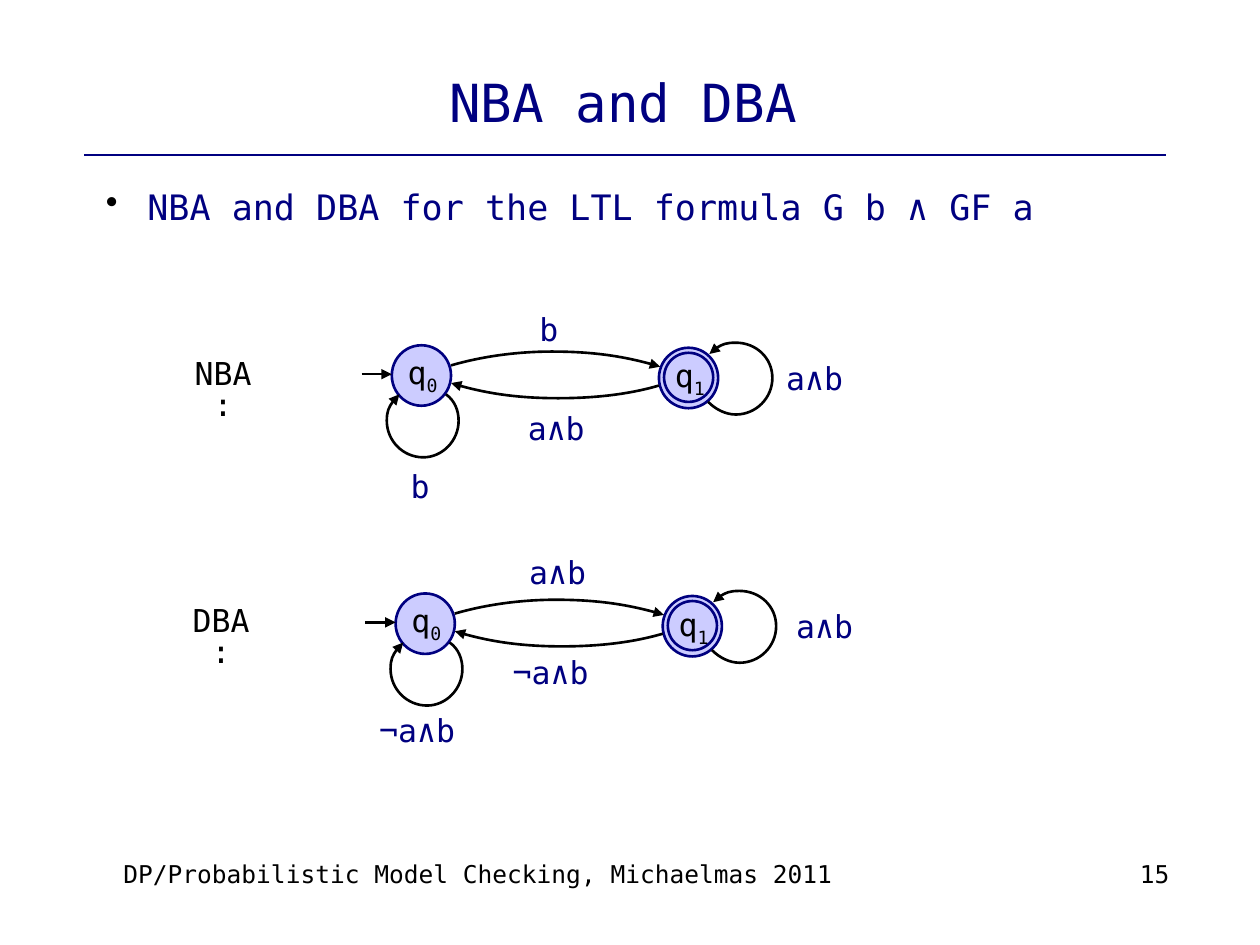
from dataclasses import dataclass

import pptx
import pptx.dml.color
import pptx.enum.shapes
import pptx.enum.text
import pptx.oxml
import pptx.oxml.ns
import pptx.util

Inches = pptx.util.Inches
Pt = pptx.util.Pt
ALIGN = pptx.enum.text.PP_ALIGN
qn = pptx.oxml.ns.qn

FONT = "DejaVu Sans Mono"
COLORS = {"navy": "000080", "black": "000000", "state": "CCCCFF"}

START_LOOP = [(3.54, 3.13), (3.61, 3.18), (3.64, 3.26), (3.64, 3.34),
              (3.64, 3.5), (3.51, 3.63), (3.36, 3.63),
              (3.2, 3.63), (3.07, 3.5), (3.07, 3.34),
              (3.07, 3.26), (3.11, 3.18), (3.17, 3.13)]
ACCEPT_LOOP = [(5.62, 3.19), (5.68, 3.25), (5.76, 3.29), (5.84, 3.29),
               (6, 3.29), (6.13, 3.16), (6.13, 3),
               (6.13, 2.84), (6, 2.72), (5.84, 2.72),
               (5.76, 2.72), (5.68, 2.75), (5.63, 2.81)]
BACKWARD = [(5.23, 3.06), (4.99, 3.13), (4.72, 3.16), (4.43, 3.16),
            (4.13, 3.16), (3.83, 3.12), (3.58, 3.04)]
FORWARD = [(3.58, 2.9), (3.82, 2.83), (4.1, 2.79), (4.38, 2.79),
           (4.69, 2.79), (4.98, 2.83), (5.24, 2.91)]


@dataclass
class Label:
    text: str
    x: float
    y: float
    w: float
    h: float = 0.4


@dataclass
class Automaton:
    name: Label
    dx: float
    dy: float
    labels: list[Label]


AUTOMATA = [
    Automaton(Label("NBA:", 1.38, 2.81, 0.78, 0.35), 0, 0, [
        Label("a∧b", 4.08, 3.2, 0.67),
        Label("b", 4.18, 2.41, 0.35),
        Label("a∧b", 6.13, 2.8, 0.67),
        Label("b", 3.16, 3.66, 0.35),
    ]),
    Automaton(Label("DBA:", 1.37, 4.77, 0.77, 0.35), 0.03, 1.97, [
        Label("¬a∧b", 3.96, 5.13, 0.82),
        Label("a∧b", 4.09, 4.34, 0.67, 0.7),
        Label("a∧b", 6.21, 4.77, 0.67, 0.7),
        Label("¬a∧b", 2.9, 5.59, 0.82),
    ]),
]


def rgb(name: str) -> pptx.dml.color.RGBColor:
    return pptx.dml.color.RGBColor.from_string(COLORS[name])


def add_text(shapes, text: str, x: float, y: float, w: float, h: float, *,
             size=18, color="navy", align=ALIGN.CENTER, inset=(0.1, 0.05),
             wrap=True, middle=False, spacing=None, sub="", bullet=False):
    tf = shapes.add_textbox(Inches(x), Inches(y), Inches(w), Inches(h)).text_frame
    tf.word_wrap = wrap
    tf.margin_left = tf.margin_right = Inches(inset[0])
    tf.margin_top = tf.margin_bottom = Inches(inset[1])
    if middle:
        tf.vertical_anchor = pptx.enum.text.MSO_ANCHOR.MIDDLE
    p = tf.paragraphs[0]
    p.alignment = align
    if spacing:
        p.line_spacing = spacing
    if bullet:
        ppr = p._p.get_or_add_pPr()
        ppr.set("marL", str(Inches(0.44)))
        ppr.set("indent", str(Inches(-0.33)))
        clr = pptx.oxml.ns.qn("a:buClr")
        ppr.makeelement(clr)
        mark = ppr.makeelement(clr, {})
        mark.append(ppr.makeelement(qn("a:srgbClr"), {"val": COLORS["black"]}))
        ppr.append(mark)
        ppr.append(ppr.makeelement(qn("a:buChar"), {"char": "•"}))
    for part in filter(None, (text, sub)):
        r = p.add_run()
        r.text = part
        r.font.name = FONT
        r.font.size = Pt(size)
        r.font.color.rgb = rgb(color)
        if part == sub:
            r._r.get_or_add_rPr().set("baseline", "-25000")


def style_line(line, color: str, arrow: bool = False) -> None:
    line.color.rgb = rgb(color)
    line.width = Pt(1.5)
    if arrow:
        ln = line._get_or_add_ln()
        ln.append(ln.makeelement(qn("a:tailEnd"), {"type": "triangle"}))


def add_line(shapes, x1: float, x2: float, y: float, color: str, arrow=False) -> None:
    s = shapes.add_connector(pptx.enum.shapes.MSO_CONNECTOR.STRAIGHT,
                             Inches(x1), Inches(y), Inches(x2), Inches(y))
    style_line(s.line, color, arrow)
    sp = s._element.spPr
    sp.append(sp.makeelement(qn("a:effectLst"), {}))


def add_circle(shapes, x: float, y: float, w: float, h: float) -> None:
    s = shapes.add_shape(pptx.enum.shapes.MSO_SHAPE.OVAL,
                         Inches(x), Inches(y), Inches(w), Inches(h))
    s.shadow.inherit = False
    s.fill.solid()
    s.fill.fore_color.rgb = rgb("state")
    style_line(s.line, "navy")


def add_curve(shapes, points: list[tuple[float, float]], dx: float, dy: float) -> None:
    pts = [(Inches(x + dx), Inches(y + dy)) for x, y in points]
    builder = shapes.build_freeform(*pts[0])
    builder.add_line_segments(pts[1:], close=False)
    s = builder.convert_to_shape()
    s.shadow.inherit = False
    s.fill.background()
    style_line(s.line, "black", arrow=True)
    outline = next(s._element.iter(qn("a:moveTo"))).getparent()
    segments = outline.findall(qn("a:lnTo"))
    for i in range(0, len(segments), 3):
        bezier = outline.makeelement(qn("a:cubicBezTo"), {})
        for segment in segments[i:i + 3]:
            bezier.append(segment[0])
            outline.remove(segment)
        outline.append(bezier)


def add_automaton(slide, a: Automaton) -> None:
    shapes = slide.shapes.add_group_shape().shapes
    dx, dy = a.dx, a.dy
    add_circle(shapes, 3.11 + dx, 2.74 + dy, 0.47, 0.48)
    add_text(shapes, "q", 3.12 + dx, 2.75 + dy, 0.47, 0.44, color="black", sub="0")
    add_curve(shapes, START_LOOP, dx, dy)
    add_line(shapes, 2.87 + dx, 3.11 + dx, 2.97 + dy, "black", arrow=True)
    add_circle(shapes, 5.23 + dx, 2.76 + dy, 0.47, 0.48)
    add_circle(shapes, 5.27 + dx, 2.8 + dy, 0.39, 0.39)
    add_text(shapes, "q", 5.24 + dx, 2.78 + dy, 0.47, 0.44, color="black", sub="1")
    for curve in (ACCEPT_LOOP, BACKWARD, FORWARD):
        add_curve(shapes, curve, dx, dy)
    for b in a.labels:
        add_text(shapes, b.text, b.x, b.y, b.w, b.h, wrap=False)
    n = a.name
    add_text(slide.shapes, n.text, n.x, n.y, n.w, n.h, color="black", spacing=0.82)


def main() -> None:
    prs = pptx.Presentation()
    prs.slide_width, prs.slide_height = Inches(10), Inches(7.5)
    slide = prs.slides.add_slide(prs.slide_layouts[6])
    shapes = slide.shapes
    add_line(shapes, 0.67, 9.25, 1.23, "navy")
    footer = dict(size=14, color="black", inset=(0, 0), spacing=0.96)
    add_text(shapes, "15", 7.67, 6.83, 1.61, 0.52, align=ALIGN.RIGHT, **footer)
    add_text(shapes, "DP/Probabilistic Model Checking, Michaelmas 2011",
             0.98, 6.83, 5.83, 0.52, align=ALIGN.LEFT, **footer)
    add_text(shapes, "NBA and DBA", 0.68, 0.37, 8.53, 0.86,
             size=30, inset=(0, 0), middle=True, spacing=1.04)
    add_text(shapes, "NBA and DBA for the LTL formula G b ∧ GF a", 0.73, 1.47, 8.53, 5.2,
             size=20, align=ALIGN.LEFT, inset=(0, 0), bullet=True)
    for a in AUTOMATA:
        add_automaton(slide, a)
    prs.save("out.pptx")


if __name__ == "__main__":
    main()
